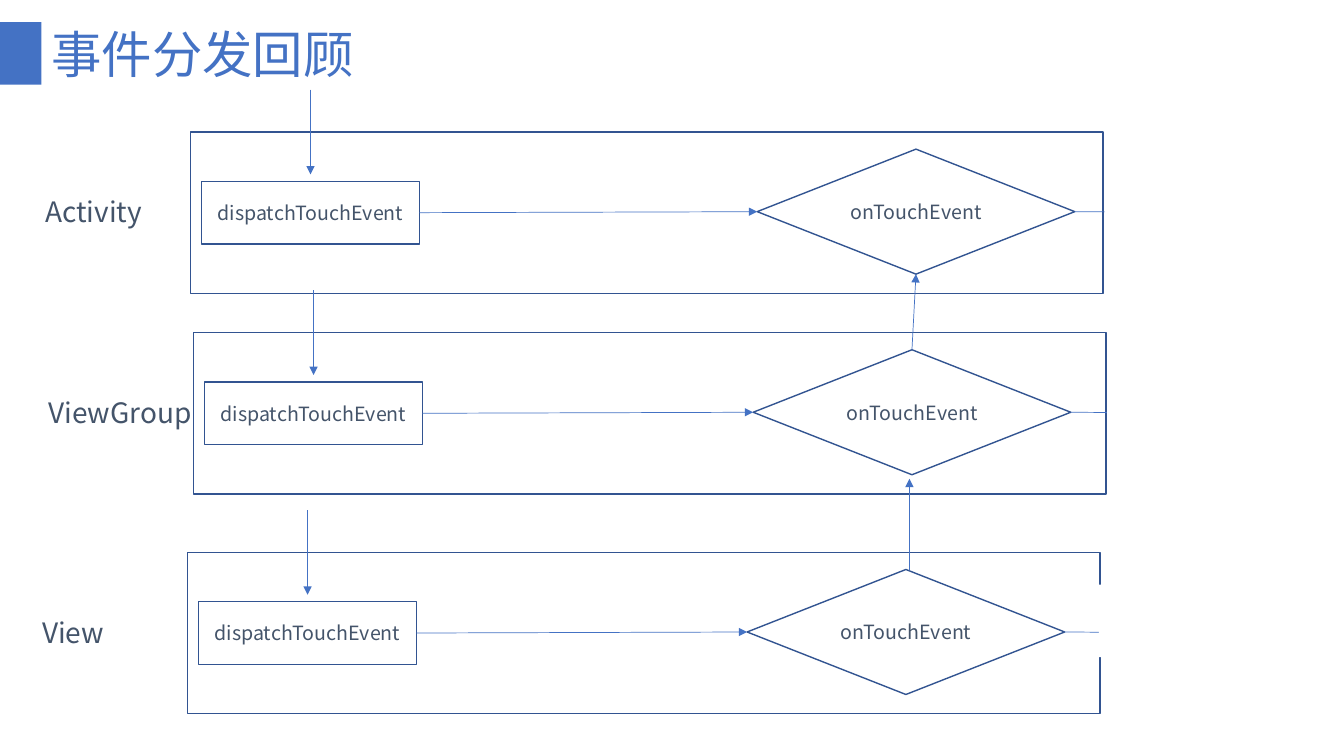
from dataclasses import dataclass

from lxml.etree import SubElement
from pptx import Presentation
from pptx.dml.color import RGBColor
from pptx.enum.shapes import MSO_CONNECTOR as Line, MSO_SHAPE as Preset
from pptx.enum.text import MSO_ANCHOR as Anchor, PP_ALIGN as Align
from pptx.oxml.ns import qn
from pptx.util import Pt

PX = 9144
TOP, LEFT, BOTTOM, RIGHT = 0, 1, 2, 3


@dataclass(frozen=True)
class Theme:
    font: str = "Noto Sans CJK SC"
    accent: RGBColor = RGBColor.from_string("4472C4")
    outline: RGBColor = RGBColor.from_string("325491")
    ink: RGBColor = RGBColor.from_string("44546A")
    paper: RGBColor = RGBColor.from_string("FFFFFF")
    title_size: int = 36
    layer_size: int = 20
    method_size: int = 14
    outline_width: float = 1
    arrow_width: float = 0.5


THEME = Theme()

LAYERS = [
    ("Activity", (189, 131), 562, (1096, 157)),
    ("ViewGroup", (192, 330), 555, (1098, 359)),
    ("View", (186, 548), 555, (1090, 580)),
]


def px(*lengths):
    return [length * PX for length in lengths]


def write(frame, words, size, color):
    frame.vertical_anchor = Anchor.MIDDLE
    paragraph = frame.paragraphs[0]
    paragraph.text = words
    font = paragraph.font
    font.size = Pt(size)
    font.color.rgb = color
    font.name = THEME.font
    defaults = paragraph._p.pPr.find(qn("a:defRPr"))
    SubElement(defaults, qn("a:ea")).set("typeface", THEME.font)
    return paragraph


def add_heading(slide, words, left, top, width, height, size, color):
    box = slide.shapes.add_textbox(*px(left, top, width, height))
    box.text_frame.word_wrap = True
    write(box.text_frame, words, size, color).line_spacing = 0.9


def add_block(slide, left, top, width, height, color):
    block = slide.shapes.add_shape(Preset.RECTANGLE, *px(left, top, width, height))
    block.shadow.inherit = False
    block.fill.solid()
    block.fill.fore_color.rgb = color
    block.line.fill.background()


def add_outline(slide, preset, left, top, width, height, words=None):
    outline = slide.shapes.add_shape(preset, *px(left, top, width, height))
    outline.shadow.inherit = False
    outline.fill.background()
    outline.line.color.rgb = THEME.outline
    outline.line.width = Pt(THEME.outline_width)
    if words:
        paragraph = write(outline.text_frame, words, THEME.method_size, THEME.ink)
        paragraph.alignment = Align.CENTER
    return outline


def add_arrow(slide, start=(0, 0), end=(0, 0), source=None, target=None):
    arrow = slide.shapes.add_connector(Line.STRAIGHT, *px(*start, *end))
    if source:
        arrow.begin_connect(*source)
    if target:
        arrow.end_connect(*target)
    arrow.line.color.rgb = THEME.accent
    arrow.line.width = Pt(THEME.arrow_width)
    SubElement(arrow.line._get_or_add_ln(), qn("a:tailEnd")).set("type", "triangle")
    SubElement(arrow._element.spPr, qn("a:effectLst"))


def add_layer(slide, name, left, top, touch_offset):
    middle = top + 80
    entry = left + 119
    add_outline(slide, Preset.RECTANGLE, left, top, 905, 160)
    add_arrow(slide, (entry, top - 42), (entry, top + 42))
    dispatch = add_outline(slide, Preset.RECTANGLE, left + 11, top + 49, 216, 62,
                           "dispatchTouchEvent")
    touch = add_outline(slide, Preset.DIAMOND, left + touch_offset, top + 17, 315, 124,
                        "onTouchEvent")
    add_arrow(slide, source=(dispatch, RIGHT), target=(touch, LEFT))
    add_arrow(slide, end=(left + 1034, middle), source=(touch, RIGHT))
    add_heading(slide, name, left - 154, top + 49, 164, 64, THEME.layer_size, THEME.ink)
    return touch


def main():
    deck = Presentation()
    deck.slide_width, deck.slide_height = px(1333, 750)
    slide = deck.slides.add_slide(deck.slide_layouts[6])

    add_block(slide, -1, 22, 42, 62, THEME.accent)
    add_heading(slide, "事件分发回顾", 41, 25, 625, 64, THEME.title_size, THEME.accent)

    activity_touch, group_touch, _ = [
        add_layer(slide, name, *corner, touch_offset)
        for name, corner, touch_offset, _ in LAYERS
    ]
    add_arrow(slide, (902, 565), (902, 475))
    for _, _, _, exit_corner in LAYERS:
        add_block(slide, *exit_corner, 214, 72, THEME.paper)
    add_arrow(slide, source=(group_touch, TOP), target=(activity_touch, BOTTOM))

    deck.save("out.pptx")


if __name__ == "__main__":
    main()
